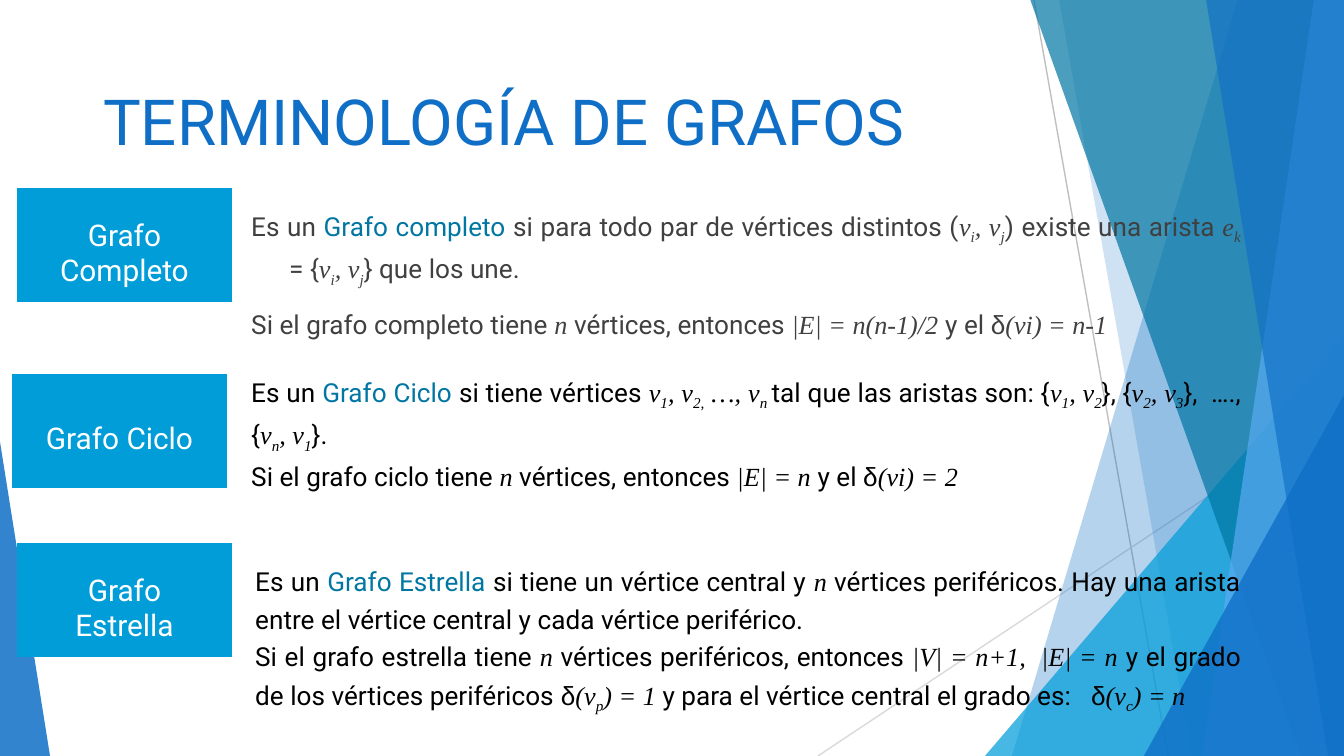
from lxml import etree
from pptx import Presentation
from pptx.dml.color import RGBColor
from pptx.enum.shapes import MSO_CONNECTOR, MSO_SHAPE
from pptx.enum.text import MSO_ANCHOR, PP_ALIGN
from pptx.oxml.ns import qn
from pptx.util import Pt

PX = 914400 / 134.4
WIDTH, HEIGHT = 1344, 756

BLUE = RGBColor(0x0F, 0x6F, 0xC6)
CYAN = RGBColor(0x00, 0x9D, 0xD9)
TEAL = RGBColor(0x00, 0x76, 0xA3)
SKY = RGBColor(0x59, 0xAA, 0xF2)
GREY = RGBColor(0x40, 0x40, 0x40)
BLACK = RGBColor(0, 0, 0)
WHITE = RGBColor(0xFF, 0xFF, 0xFF)
LINE_DARK = RGBColor(0xBF, 0xBF, 0xBF)
LINE_LIGHT = RGBColor(0xD9, 0xD9, 0xD9)

RECTANGLE, TRIANGLE = MSO_SHAPE.RECTANGLE, MSO_SHAPE.ISOSCELES_TRIANGLE
STRAIGHT = MSO_CONNECTOR.STRAIGHT
MIDDLE, BOTTOM = MSO_ANCHOR.MIDDLE, MSO_ANCHOR.BOTTOM
LEFT, CENTER, JUSTIFY = PP_ALIGN.LEFT, PP_ALIGN.CENTER, PP_ALIGN.JUSTIFY

PLAIN, TERM, MATH, GREEK = "plain", "term", "math", "greek"
FONTS = {PLAIN: "Roboto", TERM: "Roboto", MATH: "Times New Roman", GREEK: "Arial"}

# Each definition is a list of paragraphs; in MATH, underscores enclose subscripts.
COMPLETE = [
    [(PLAIN, "Es un "), (TERM, "Grafo completo"),
     (PLAIN, " si para todo par de vértices distintos ("), (MATH, "v_i_, v_j_"),
     (PLAIN, ") existe una arista "), (MATH, "e_k _"), (PLAIN, "= {"),
     (MATH, "v_i_, v_j_"), (PLAIN, "} que los une.")],
    [(PLAIN, "Si el grafo completo tiene "), (MATH, "n"),
     (PLAIN, " vértices, entonces "), (MATH, "|E| = n(n-1)/2 "),
     (PLAIN, "y el "), (GREEK, "δ"), (MATH, "(vi) = n-1")],
]
CYCLE = [
    [(PLAIN, "Es un "), (TERM, "Grafo Ciclo "), (PLAIN, "si tiene vértices "),
     (MATH, "v_1_, v_2,_ …, v_n _"), (PLAIN, "tal que las aristas son: {"),
     (MATH, "v_1_, v_2_"), (PLAIN, "}, {"), (MATH, "v_2_, v_3_"),
     (PLAIN, "},  …., {"), (MATH, "v_n_, v_1_"), (PLAIN, "}.")],
    [(PLAIN, "Si el grafo ciclo tiene "), (MATH, "n"),
     (PLAIN, " vértices, entonces "), (MATH, "|E| = n "),
     (PLAIN, "y el "), (GREEK, "δ"), (MATH, "(vi) = 2")],
]
STAR = [
    [(PLAIN, "Es un "), (TERM, "Grafo Estrella "),
     (PLAIN, "si tiene un vértice central y "), (MATH, "n"),
     (PLAIN, " vértices periféricos. Hay una arista entre el vértice central "
             "y cada vértice periférico.")],
    [(PLAIN, "Si el grafo estrella tiene "), (MATH, "n"),
     (PLAIN, " vértices periféricos, entonces "), (MATH, "|V| = n+1,  |E| = n "),
     (PLAIN, "y el grado de los vértices periféricos "), (GREEK, "δ"),
     (MATH, "(v_p_) = 1 "), (PLAIN, "y para el vértice central el grado es:   "),
     (GREEK, "δ"), (MATH, "(v_c_) = n")],
]


def emu(*lengths):
    return [round(length * PX) for length in lengths]


def fill_shape(shape, color, opacity=100):
    shape.shadow.inherit = False
    shape.fill.solid()
    shape.fill.fore_color.rgb = color
    shape.line.fill.background()
    if opacity < 100:
        color_element = shape.element.spPr.find(qn("a:solidFill"))[0]
        etree.SubElement(color_element, qn("a:alpha"), val=str(opacity * 1000))


def add_facet(slide, top_x, bottom_x, color, opacity):
    """A full-height panel from a slanted left edge to the slide's right edge."""
    builder = slide.shapes.build_freeform(top_x, -1, scale=PX)
    builder.add_line_segments([(WIDTH, -1), (WIDTH, HEIGHT), (bottom_x, HEIGHT)])
    fill_shape(builder.convert_to_shape(), color, opacity)


def add_corner(slide, box, apex, color, opacity):
    """A right triangle whose apex is at the left (0) or right (1)."""
    triangle = slide.shapes.add_shape(TRIANGLE, *emu(*box))
    triangle.adjustments[0] = apex
    fill_shape(triangle, color, opacity)


def add_thin_line(slide, ends, color):
    line = slide.shapes.add_connector(STRAIGHT, *emu(*ends))
    line.line.color.rgb = color
    line.line.width = Pt(0.75)
    etree.SubElement(line.element.spPr, qn("a:effectLst"))


def add_backdrop(slide):
    add_thin_line(slide, (1034, 0, 1168, HEIGHT), LINE_DARK)
    add_thin_line(slide, (WIDTH, 406, 818, HEIGHT), LINE_LIGHT)
    add_facet(slide, 1238, 1012, BLUE, 30)
    add_facet(slide, 1059, 1192, BLUE, 20)
    add_corner(slide, (985, 336, 359, 420), 1, CYAN, 72)
    add_facet(slide, 1030, 1301, TEAL, 70)
    add_facet(slide, 1314, 1202, SKY, 70)
    add_facet(slide, 1206, 1328, BLUE, 65)
    add_corner(slide, (1144, 395, 200, 361), 1, BLUE, 80)
    add_corner(slide, (0, 442, 50, 314), 0, BLUE, 85)


def add_run(paragraph, text, font_name, size, color):
    run = paragraph.add_run()
    run.text = text
    run.font.name = font_name
    run.font.size = Pt(size)
    run.font.color.rgb = color
    return run


def add_text_frame(slide, box, anchor):
    text_frame = slide.shapes.add_textbox(*emu(*box)).text_frame
    text_frame.word_wrap = True
    text_frame.vertical_anchor = anchor
    return text_frame


def add_title(slide, box, text):
    paragraph = add_text_frame(slide, box, BOTTOM).paragraphs[0]
    paragraph.alignment = LEFT
    add_run(paragraph, text, "Roboto", 34, BLUE)


def add_label(slide, box, text):
    label = slide.shapes.add_shape(RECTANGLE, *emu(*box))
    fill_shape(label, CYAN)
    label.line.color.rgb = CYAN
    label.line.width = Pt(4)
    outline = label.element.spPr.find(qn("a:ln"))
    etree.SubElement(outline, qn("a:miter"), lim="800000")
    text_frame = label.text_frame
    text_frame.word_wrap = True
    text_frame.vertical_anchor = MIDDLE
    text_frame.margin_left, text_frame.margin_right = emu(20, 20)
    text_frame.margin_top, text_frame.margin_bottom = emu(27, 13)
    paragraph = text_frame.paragraphs[0]
    paragraph.alignment = CENTER
    add_run(paragraph, text, "Roboto", 16, WHITE)


def add_definition(slide, box, paragraphs, color, hanging=0, gap=0):
    text_frame = add_text_frame(slide, box, MIDDLE)
    for index, pieces in enumerate(paragraphs):
        paragraph = text_frame.add_paragraph() if index else text_frame.paragraphs[0]
        paragraph.alignment = JUSTIFY
        paragraph.line_spacing = 1.2
        if index:
            paragraph.space_before = Pt(gap)
        if hanging:
            indent = emu(hanging)[0]
            properties = paragraph._p.get_or_add_pPr()
            properties.set("marL", str(indent))
            properties.set("indent", str(-indent))
        for style, text in pieces:
            for position, part in enumerate(text.split("_")):
                if not part:
                    continue
                run = add_run(paragraph, part, FONTS[style], 14,
                              TEAL if style == TERM else color)
                run.font.italic = style == MATH
                if position % 2:
                    run.font._element.set("baseline", "-25000")


def main():
    presentation = Presentation()
    presentation.slide_width, presentation.slide_height = emu(WIDTH, HEIGHT)
    slide = presentation.slides.add_slide(presentation.slide_layouts[6])
    add_backdrop(slide)
    add_title(slide, (90, 11, 1187, 154), "TERMINOLOGÍA DE GRAFOS")
    add_definition(slide, (238, 187, 1016, 169), COMPLETE, GREY, hanging=38, gap=7.5)
    add_label(slide, (16, 378, 207, 106), "Grafo Ciclo")
    add_definition(slide, (238, 362, 1016, 137), CYCLE, BLACK)
    add_label(slide, (21, 547, 207, 106), "Grafo Estrella")
    add_definition(slide, (242, 536, 1012, 202), STAR, BLACK)
    add_label(slide, (21, 192, 207, 106), "Grafo Completo")
    presentation.save("out.pptx")


if __name__ == "__main__":
    main()
